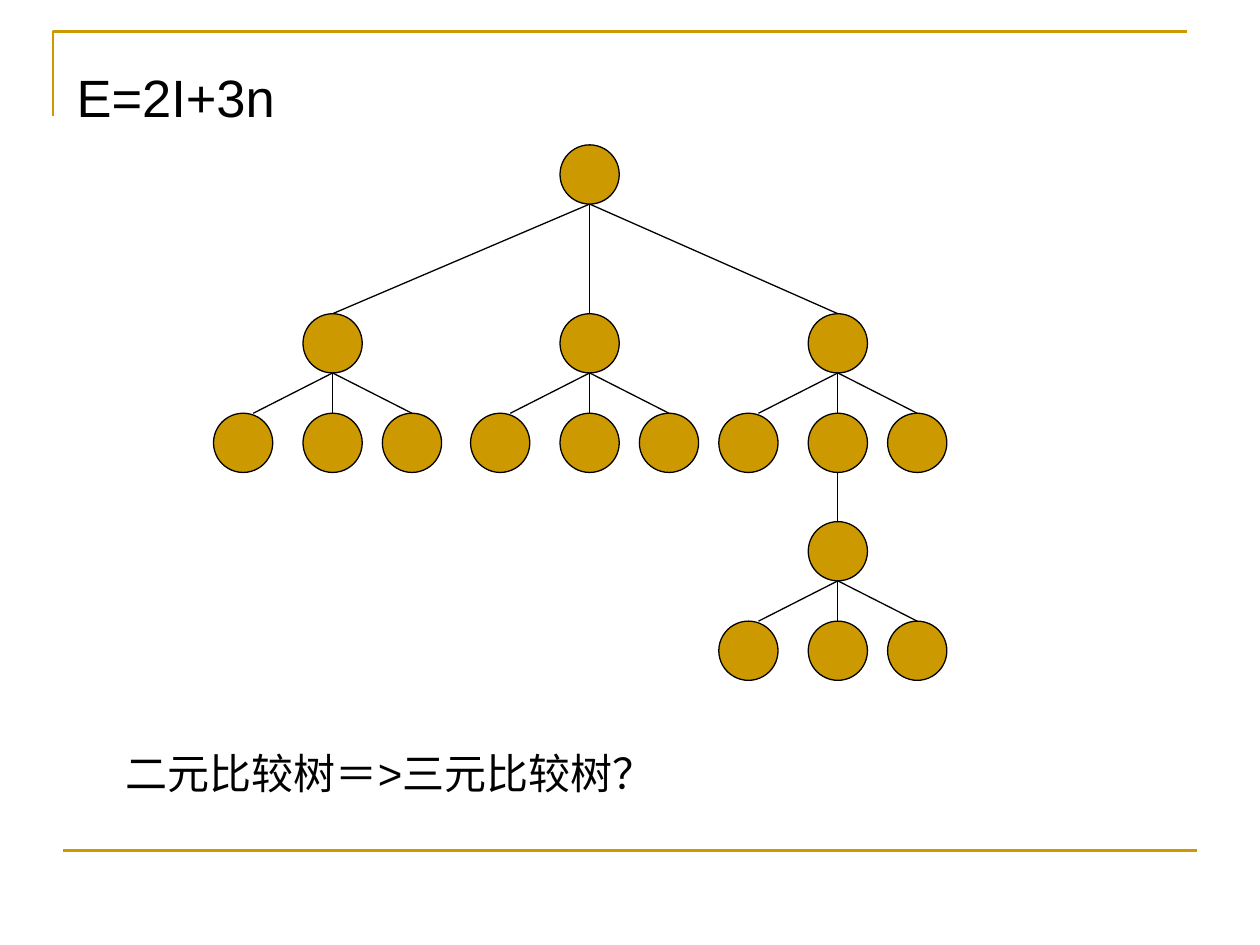
from pptx import Presentation
from pptx.dml.color import RGBColor
from pptx.enum.shapes import MSO_CONNECTOR as Link, MSO_SHAPE as Shape
from pptx.oxml.ns import qn
from pptx.util import Inches, Pt
from lxml.etree import SubElement

GOLD = RGBColor(0xCC, 0x99, 0x00)
BLACK = RGBColor(0, 0, 0)
SIZE = 0.47
HALF = SIZE / 2
DROP = 0.79


def add_line(slide, start, end, color=BLACK, width=0.75):
    ends = [Inches(v) for v in (*start, *end)]
    line = slide.shapes.add_connector(Link.STRAIGHT, *ends)
    line.line.color.rgb = color
    line.line.width = Pt(width)
    SubElement(line._element.spPr, qn("a:effectLst"))


def add_node(slide, mid, top):
    node = slide.shapes.add_shape(
        Shape.OVAL, Inches(mid - HALF), Inches(top), Inches(SIZE), Inches(SIZE))
    node.shadow.inherit = False
    node.fill.solid()
    node.fill.fore_color.rgb = GOLD
    node.line.color.rgb = BLACK
    node.line.width = Pt(0.75)


def add_tree(slide, mid, top):
    add_node(slide, mid, top)
    low = top + DROP
    for shift, tip in ((-0.71, -0.63), (0, 0), (0.63, 0.63)):
        add_node(slide, mid + shift, low)
        add_line(slide, (mid + tip, low), (mid, top + SIZE))


def add_text(slide, left, top, width, height, text, size):
    box = slide.shapes.add_textbox(
        Inches(left), Inches(top), Inches(width), Inches(height))
    box.text_frame.word_wrap = True
    para = box.text_frame.paragraphs[0]
    para.text = text
    para.font.size = Pt(size)
    para.font.name = "Arial"
    para.font.color.rgb = BLACK


def add_frame(slide, left, top, width):
    pen = slide.shapes.build_freeform(Inches(left), Inches(top + 0.67))
    pen.add_line_segments(
        [(Inches(left), Inches(top)), (Inches(left + width), Inches(top))],
        close=False)
    edge = pen.convert_to_shape()
    edge.shadow.inherit = False
    edge.fill.background()
    edge.line.color.rgb = GOLD
    edge.line.width = Pt(1.5)
    add_line(slide, (0.5, 6.75), (0.5 + width, 6.75), GOLD, 1.5)


def add_graph(slide, mid, top):
    row = top + 1.34
    for shift in (-2.04, 0, 1.97):
        add_tree(slide, mid + shift, row)
        add_line(slide, (mid, top + SIZE), (mid + shift, row))
    add_node(slide, mid, top)
    right = mid + 1.97
    add_tree(slide, right, row + 1.65)
    add_line(slide, (right, row + DROP + SIZE), (right, row + 1.65))


def main():
    deck = Presentation()
    deck.slide_width, deck.slide_height = Inches(10), Inches(7.5)
    slide = deck.slides.add_slide(deck.slide_layouts[6])
    add_frame(slide, 0.42, 0.25, 9)
    add_text(slide, 0.51, 0.47, 9, 4.96, "E=2I+3n", 30)
    add_graph(slide, 4.68, 1.15)
    add_text(slide, 0.9, 5.88, 4.41, 0.5, "二元比较树＝>三元比较树？", 24)
    deck.save("out.pptx")


if __name__ == "__main__":
    main()
